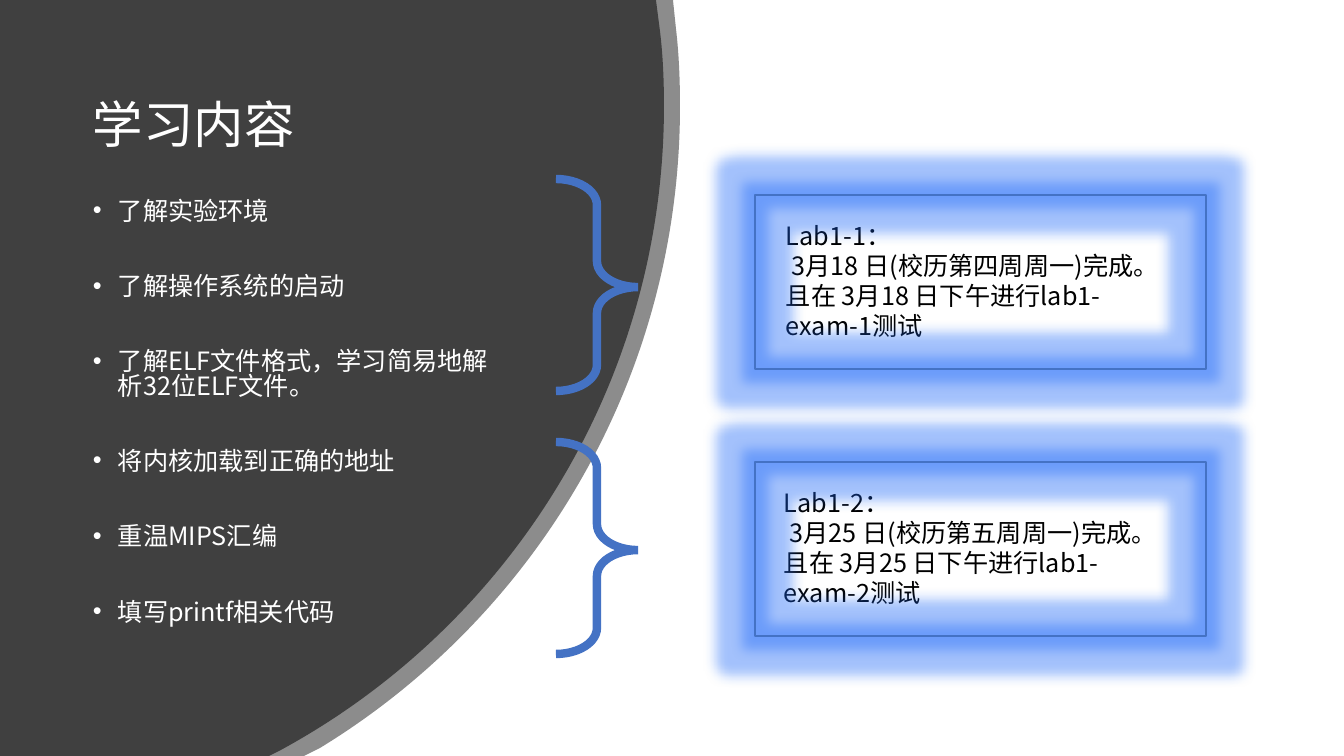
from pptx import Presentation
from pptx.dml.color import RGBColor as Color
from pptx.enum.shapes import MSO_SHAPE as Preset
from pptx.enum.text import MSO_ANCHOR as Anchor
from pptx.oxml.ns import qn
from pptx.util import Pt
from lxml.etree import SubElement as add_node

PX = 914400 / 100.8
FONT = "Noto Sans CJK SC"
COLORS = {"dark": "404040", "blue": "4472C4", "glow": "1A66F8",
          "white": "FFFFFF", "black": "000000"}

deck = Presentation()
deck.slide_width, deck.slide_height = round(1344 * PX), round(756 * PX)
page = deck.slides.add_slide(deck.slide_layouts[6])


def emu(*lengths):
    return [round(length * PX) for length in lengths]


def add_text(place, lines, size, color, anchor=Anchor.TOP, **spacing):
    box = page.shapes.add_textbox(*emu(*place))
    frame = box.text_frame
    frame.word_wrap, frame.vertical_anchor = True, anchor
    for index, line in enumerate(lines):
        para = frame.paragraphs[0] if index == 0 else frame.add_paragraph()
        for name, value in spacing.items():
            setattr(para, name, value)
        span = para.add_run()
        span.text = line
        span.font.size, span.font.name = Pt(size), FONT
        span.font.color.rgb = Color.from_string(COLORS[color])
        add_node(span.font._element, qn("a:ea"), typeface=FONT)
    return frame


# Curved dark panel over its translucent rim; each curve is two handles and an end
panels = [
    ([(673, 0), (676, 29)],
     [(679, 54), (680, 81), (680, 106), (680, 378), (536, 616), (320, 748)],
     [(304, 756), (0, 756)], 60),
    ([(656, 0), (660, 31)],
     [(663, 55), (664, 81), (664, 106), (664, 384), (509, 626), (281, 750)],
     [(269, 756), (0, 756)], 100),
]
for start, curves, end, opacity in panels:
    builder = page.shapes.build_freeform(0, 0, scale=PX)
    builder.add_line_segments(start + curves + end, close=True)
    panel = builder.convert_to_shape()
    panel.shadow.inherit = False
    panel.fill.solid()
    panel.fill.fore_color.rgb = Color.from_string(COLORS["dark"])
    panel.line.fill.background()
    if opacity < 100:
        fill_color = panel._element.spPr.find(qn("a:solidFill"))[0]
        add_node(fill_color, qn("a:alpha"), val=str(opacity * 1000))
    # Turn each run of three curve points into one Bezier segment
    segments = list(panel._element.iter(qn("a:lnTo")))
    first = len(start)
    for index in range(first, first + len(curves), 3):
        handle, *others = segments[index:index + 3]
        bezier = add_node(handle.getparent(), qn("a:cubicBezTo"))
        handle.addprevious(bezier)
        for segment in (handle, *others):
            bezier.append(segment[0])
            segment.getparent().remove(segment)

# Title and bullet list
add_text((83, 70, 448, 115), ["学习内容"], 36, "white", Anchor.MIDDLE, line_spacing=0.9)
topics = ["了解实验环境", "了解操作系统的启动",
          "了解ELF文件格式\uff0c学习简易地解析32位ELF文件。",
          "将内核加载到正确的地址", "重温MIPS汇编", "填写printf相关代码"]
topic_list = add_text((83, 196, 421, 474), topics, 18, "white",
                      line_spacing=0.8, space_after=Pt(36.5))
indent = emu(25)[0]
for para in topic_list.paragraphs:
    props = para._p.get_or_add_pPr()
    props.set("marL", str(indent))
    props.set("indent", str(-indent))
    add_node(props, qn("a:buFont"), typeface="Arial")
    add_node(props, qn("a:buChar"), char="•")

# Lab deadlines in glowing frames
labs = [(1, 18, "四", 776, 215, 195), (2, 25, "五", 774, 482, 462)]
for number, day, week, left, text_top, frame_top in labs:
    add_text((left, text_top, 413, 132),
             [f"Lab1-{number}\uff1a", f" 3月{day} 日(校历第{week}周周一)完成。",
              f"且在 3月{day} 日下午进行lab1-exam-{number}测试"], 18, "black")
    border = page.shapes.add_shape(Preset.RECTANGLE, *emu(755, frame_top, 451, 174))
    border.shadow.inherit = False
    border.fill.background()
    border.line.color.rgb = Color.from_string(COLORS["blue"])
    border.line.width = Pt(1)
    effects = border._element.spPr.find(qn("a:effectLst"))
    glow = add_node(effects, qn("a:glow"), rad="228600")
    glow_color = add_node(glow, qn("a:srgbClr"), val=COLORS["glow"])
    add_node(glow_color, qn("a:alpha"), val="40000")

# Braces joining topics to labs
for top in (179, 442):
    brace = page.shapes.add_shape(Preset.RIGHT_BRACE, *emu(556, top, 82, 212))
    brace.adjustments[0], brace.adjustments[1] = 0.317, 0.51
    brace.shadow.inherit = False
    brace.fill.background()
    brace.line.color.rgb = Color.from_string(COLORS["blue"])
    brace.line.width = Pt(6)
    add_node(brace._element.spPr.find(qn("a:ln")), qn("a:miter"), lim="800000")

deck.save("out.pptx")
